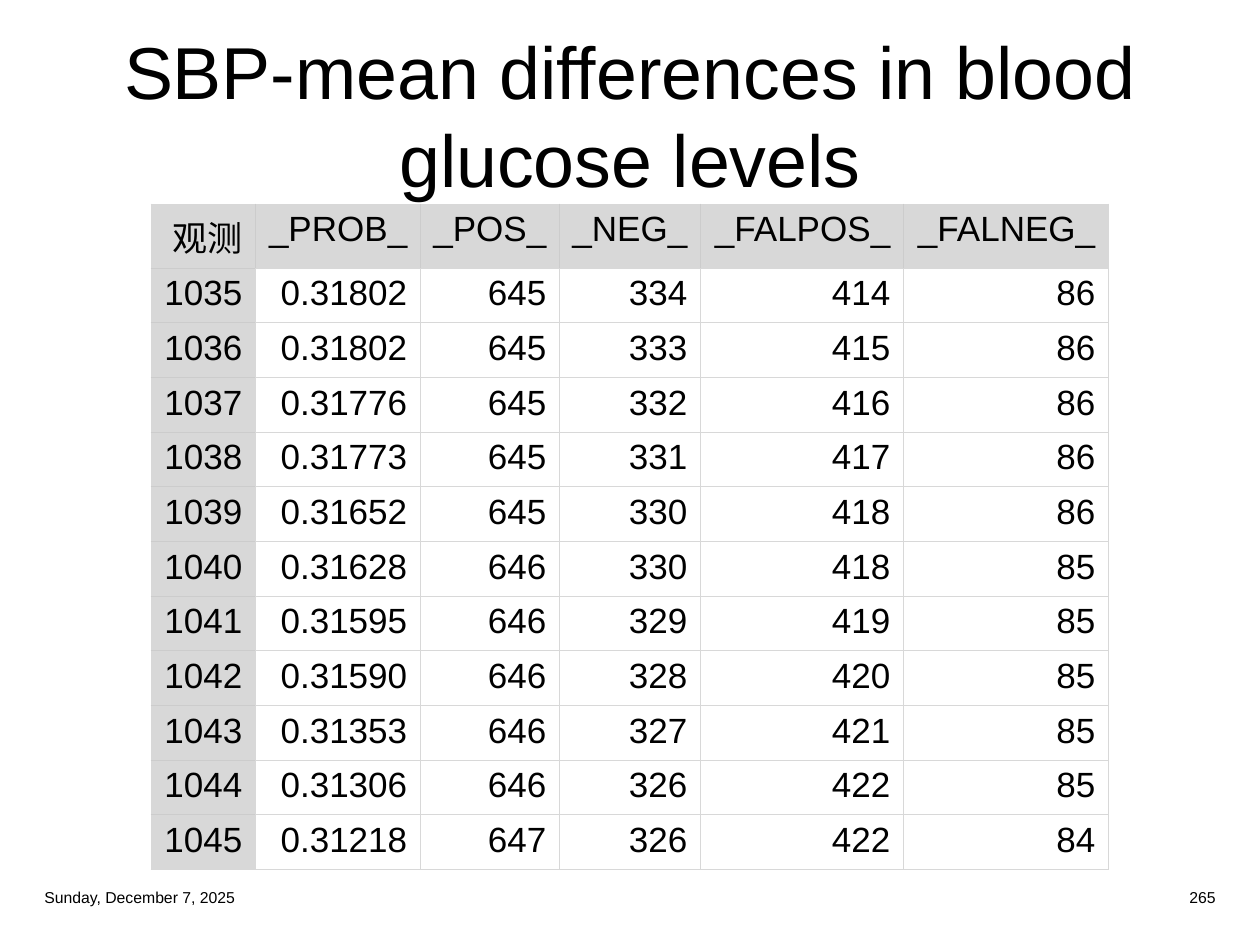
from dataclasses import dataclass

from lxml import etree
from pptx import Presentation
from pptx import util as u
from pptx.dml.color import RGBColor
from pptx.enum import text
from pptx.oxml.ns import qn

PX_PER_INCH = 126


@dataclass(frozen=True)
class Theme:
    font: str = "Arial"
    ink: str = "000000"
    label_fill: str = "D8D8D8"
    grid: str = "D8D8D8"
    label_grid: str = "CCCCCC"
    grid_width: float = 0.5
    title_size: int = 42
    table_size: int = 20
    footer_size: int = 9


THEME = Theme()
LEFT, CENTER, RIGHT = text.PP_ALIGN.LEFT, text.PP_ALIGN.CENTER, text.PP_ALIGN.RIGHT

TITLE = ["SBP-mean differences in blood", "glucose levels"]
COLUMN_WIDTHS = [104, 165, 139, 141, 203, 205]
HEADER_HEIGHT = 64
HEADER = ["观测", "_PROB_", "_POS_", "_NEG_", "_FALPOS_", "_FALNEG_"]
OBSERVATIONS = [
    ("1035", "0.31802", "645", "334", "414", "86"),
    ("1036", "0.31802", "645", "333", "415", "86"),
    ("1037", "0.31776", "645", "332", "416", "86"),
    ("1038", "0.31773", "645", "331", "417", "86"),
    ("1039", "0.31652", "645", "330", "418", "86"),
    ("1040", "0.31628", "646", "330", "418", "85"),
    ("1041", "0.31595", "646", "329", "419", "85"),
    ("1042", "0.31590", "646", "328", "420", "85"),
    ("1043", "0.31353", "646", "327", "421", "85"),
    ("1044", "0.31306", "646", "326", "422", "85"),
    ("1045", "0.31218", "647", "326", "422", "84"),
]


def px(length):
    return u.Emu(round(length * u.Inches(1) / PX_PER_INCH))


def write(para, lines, size, align):
    para.alignment = align
    for index, line in enumerate(lines):
        if index:
            para.add_line_break()
        span = para.add_run()
        span.text = line
        span.font.name = THEME.font
        span.font.size = u.Pt(size)
        span.font.color.rgb = RGBColor.from_string(THEME.ink)


def add_text(page, box, lines, size, align):
    frame = page.shapes.add_textbox(*map(px, box)).text_frame
    frame.word_wrap = True
    frame.vertical_anchor = text.MSO_ANCHOR.MIDDLE
    write(frame.paragraphs[0], lines, size, align)


def add_title(page, box):
    add_text(page, box, TITLE, THEME.title_size, CENTER)


def set_borders(cell, colors):
    """Draw the left, right, top and bottom edges; lines must precede the fill."""
    properties = cell._tc.get_or_add_tcPr()
    for position, (side, color) in enumerate(colors.items()):
        line = etree.Element(qn(f"a:ln{side}"), w=str(u.Pt(THEME.grid_width)))
        fill = etree.SubElement(line, qn("a:solidFill"))
        etree.SubElement(fill, qn("a:srgbClr"), val=color)
        properties.insert(position, line)


def add_observation_table(page, box):
    rows = [HEADER, *OBSERVATIONS]
    last_row, last_column = len(rows) - 1, len(HEADER) - 1
    table = page.shapes.add_table(len(rows), len(HEADER), *map(px, box)).table
    table.first_row = table.horz_banding = False
    for column, width in zip(table.columns, COLUMN_WIDTHS):
        column.width = px(width)
    body_height = (box[3] - HEADER_HEIGHT) / len(OBSERVATIONS)
    for r, row in enumerate(table.rows):
        row.height = px(body_height if r else HEADER_HEIGHT)

    for r, values in enumerate(rows):
        for c, value in enumerate(values):
            cell = table.cell(r, c)
            write(cell.text_frame.paragraphs[0], [value], THEME.table_size, RIGHT)
            is_label = r == 0 or c == 0
            if is_label:
                cell.fill.solid()
                cell.fill.fore_color.rgb = RGBColor.from_string(THEME.label_fill)
            else:
                cell.fill.background()
            outer = {"L": c == 0, "R": c == last_column, "T": r == 0, "B": r == last_row}
            set_borders(cell, {
                side: THEME.label_grid if is_label and not at_edge else THEME.grid
                for side, at_edge in outer.items()
            })


def add_footer(page, box):
    left, top, width, height = box
    part = 300
    for x, words, align in [
        (left, "Sunday, December 7, 2025", LEFT),
        (left + width - part, "265", RIGHT),
    ]:
        add_text(page, (x, top, part, height), [words], THEME.footer_size, align)


def main():
    deck = Presentation()
    deck.slide_width, deck.slide_height = px(1260), px(945)
    page = deck.slides.add_slide(deck.slide_layouts[6])
    add_title(page, (32, 32, 1196, 165))
    add_observation_table(page, (151, 204, sum(COLUMN_WIDTHS), 642))
    add_footer(page, (32, 881, 1196, 33))
    deck.save("out.pptx")


if __name__ == "__main__":
    main()
